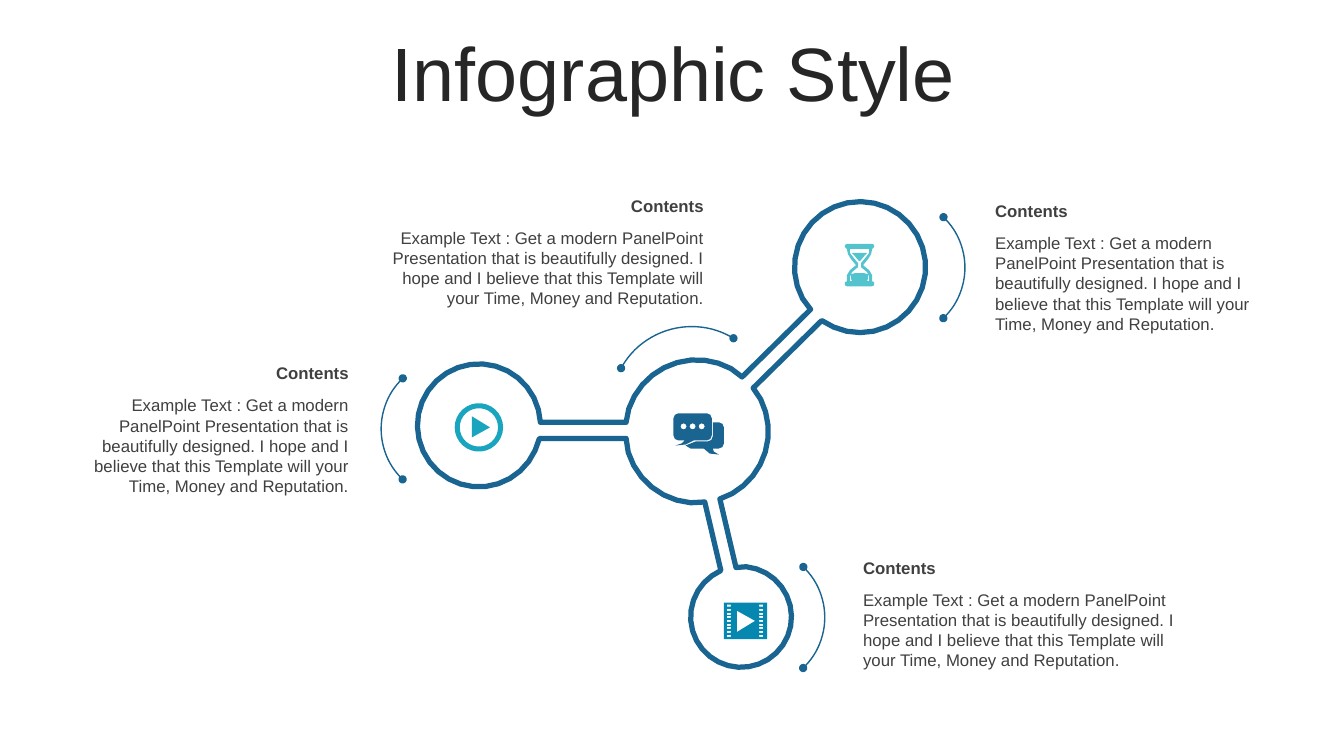
from math import atan2, ceil, cos, degrees, radians, sin

from lxml import etree
from pptx import Presentation
from pptx.dml.color import RGBColor
from pptx.enum.shapes import MSO_SHAPE
from pptx.enum.text import MSO_ANCHOR, MSO_AUTO_SIZE, PP_ALIGN
from pptx.oxml.ns import qn
from pptx.util import Pt

PX = 9144
ARC = MSO_SHAPE.ARC
LEFT, MID, RIGHT = PP_ALIGN.LEFT, PP_ALIGN.CENTER, PP_ALIGN.RIGHT
MIDDLE, FIXED = MSO_ANCHOR.MIDDLE, MSO_AUTO_SIZE.NONE
COLORS = {
    "title": "262626",
    "text": "404040",
    "blue": "196491",
    "aqua": "53C3CD",
    "teal": "19A5BE",
    "film": "0587AF",
}
BODY = (
    "Example Text : Get a modern PanelPoint Presentation that is beautifully "
    "designed. I hope and I believe that this Template will your Time, "
    "Money and Reputation."
)
NOTES = [
    (975, 194, 277, LEFT),
    (369, 189, 341, RIGHT),
    (72, 355, 286, RIGHT),
    (844, 548, 334, LEFT),
]
ARCS = [(606, 324, 160, 300), (818, 196, 139, 45), (378, 356, 139, 225), (679, 543, 139, 45)]
HUB = (691, 428, 71)
LOOP = [
    ((853, 265, 65), (804, 307), (815, 318)),
    (HUB, (747, 385), (714, 495)),
    ((735, 612, 50), (730, 563), (715, 566)),
    (HUB, (699, 498), (621, 435)),
    ((475, 422, 61), (535, 435), (536, 419)),
    (HUB, (621, 419), (736, 374)),
]


def px(value):
    return round(value * PX)


def color(name):
    return RGBColor.from_string(COLORS[name])


def sweep(x, y, r, start, end):
    steps = ceil(abs(end - start) / (12 if r > 15 else 45))
    turns = [radians(start + (end - start) * i / steps) for i in range(steps + 1)]
    return [(x + r * cos(t), y + r * sin(t)) for t in turns]


def disc(x, y, r):
    return sweep(x, y, r, 0, 360)[:-1]


def box(x, y, w, h):
    return [(x, y), (x + w, y), (x + w, y + h), (x, y + h)]


def mirror(half, total=1705):
    return half + [(total - x, y) for x, y in reversed(half)]


def draw(slide, rings, fill=None, line=None, width=1):
    pen = None
    for ring in rings:
        dots = [(px(x), px(y)) for x, y in ring]
        if pen is None:
            pen = slide.shapes.build_freeform(*dots[0], scale=1.0)
        else:
            pen.move_to(*dots[0])
        pen.add_line_segments(dots[1:], close=True)
    paint(pen.convert_to_shape(), fill, line, width)


def paint(shape, fill, line, width):
    shape.shadow.inherit = False
    if fill:
        shape.fill.solid()
        shape.fill.fore_color.rgb = color(fill)
    else:
        shape.fill.background()
    if line:
        shape.line.color.rgb = color(line)
        shape.line.width = Pt(width)
    else:
        shape.line.fill.background()


def write(frame, text, size=12, tint="text", bold=False, align=LEFT):
    frame.word_wrap = True
    frame.auto_size = FIXED
    para = frame.paragraphs[0]
    para.alignment = align
    run = para.add_run()
    run.text = text
    font = run.font
    font.name, font.size, font.bold = "Arial", Pt(size), bold
    font.color.rgb = color(tint)
    return para


def label(slide, x, y, w, h, text, **style):
    frame = slide.shapes.add_textbox(px(x), px(y), px(w), px(h)).text_frame
    frame.margin_left = frame.margin_right = px(12)
    frame.margin_top = frame.margin_bottom = px(5)
    write(frame, text, **style)


def note(slide, x, y, w, align):
    label(slide, x, y, w, 30, "Contents", bold=True, align=align)
    label(slide, x, y + 32, w, 111 if w < 300 else 91, BODY, align=align)


def curve(slide, x, y, size, turn):
    arc = slide.shapes.add_shape(ARC, px(x), px(y), px(size), px(size))
    arc.adjustments[0], arc.adjustments[1] = 161.374, 0.749
    arc.rotation = turn
    paint(arc, None, "blue", 1)
    edge = arc.line._get_or_add_ln()
    for tag in ("a:headEnd", "a:tailEnd"):
        etree.SubElement(edge, qn(tag), type="oval")


def loop(slide):
    ring = []
    for (x, y, r), start, end in LOOP:
        first, last = [degrees(atan2(b - y, a - x)) for a, b in (start, end)]
        if last < first:
            last += 360
        ring += [start] + sweep(x, y, r, first, last)[1:-1] + [end]
    draw(slide, [ring], line="blue", width=3.75)


def chat(slide):
    front = (
        sweep(673, 415, 5, 180, 270) + sweep(701, 415, 5, 270, 360)
        + sweep(701, 432, 5, 0, 90)
        + [(688, 437), (680, 441), (670, 442), (676, 440), (679, 437)]
        + sweep(673, 432, 5, 90, 180)
    )
    back = (
        [(707, 419)] + sweep(713, 424, 5, 270, 360) + sweep(713, 440, 5, 0, 90)
        + [(707, 445), (708, 448), (713, 451), (704, 450), (698, 445)]
        + [(685, 445), (680, 442), (690, 438)] + sweep(702, 433, 5, 90, 0)
    )
    dots = [disc(678 + 9 * i, 423, 3) for i in range(3)]
    draw(slide, [front, back] + dots, fill="blue")


def timer(slide):
    frame = [
        (865, 242), (867, 243), (867, 245), (865, 247), (864, 252), (861, 257),
        (856, 263), (862, 268), (865, 273), (865, 279), (867, 280), (867, 283),
        (865, 284),
    ]
    glass = [
        (862, 247), (862, 251), (859, 255), (854, 261), (854, 265), (860, 270),
        (862, 274), (862, 279),
    ]
    upper = [(860, 251), (858, 253), (853, 259)]
    lower = [(857, 271), (861, 272), (861, 276), (860, 279)]
    draw(slide, [mirror(half) for half in (frame, glass, upper, lower)], fill="aqua")


def play(slide):
    arrow = [(468, 413), (486, 424), (468, 434)]
    draw(slide, [disc(475, 424, 24), disc(475, 424, 19), arrow], fill="teal")


def film(slide):
    arrow = [(731, 606), (731, 627), (749, 616)]
    holes = [box(x, round(600 + 3.75 * i), 4, 2) for x in (721, 753) for i in range(9)]
    draw(slide, [box(718, 598, 43, 36), arrow] + holes, fill="film")


def head(slide):
    title = slide.shapes.title
    title.left, title.top, title.width, title.height = map(px, (35, 37, 1266, 79))
    title.text_frame.vertical_anchor = MIDDLE
    para = write(title.text_frame, "Infographic Style", size=54, tint="title", align=MID)
    para.line_spacing = 0.9


def main():
    deck = Presentation()
    deck.slide_width, deck.slide_height = px(1333), px(750)
    slide = deck.slides.add_slide(deck.slide_layouts[5])
    head(slide)
    loop(slide)
    for item in NOTES:
        note(slide, *item)
    for item in ARCS:
        curve(slide, *item)
    for icon in (chat, timer, play, film):
        icon(slide)
    deck.save("out.pptx")


if __name__ == "__main__":
    main()
